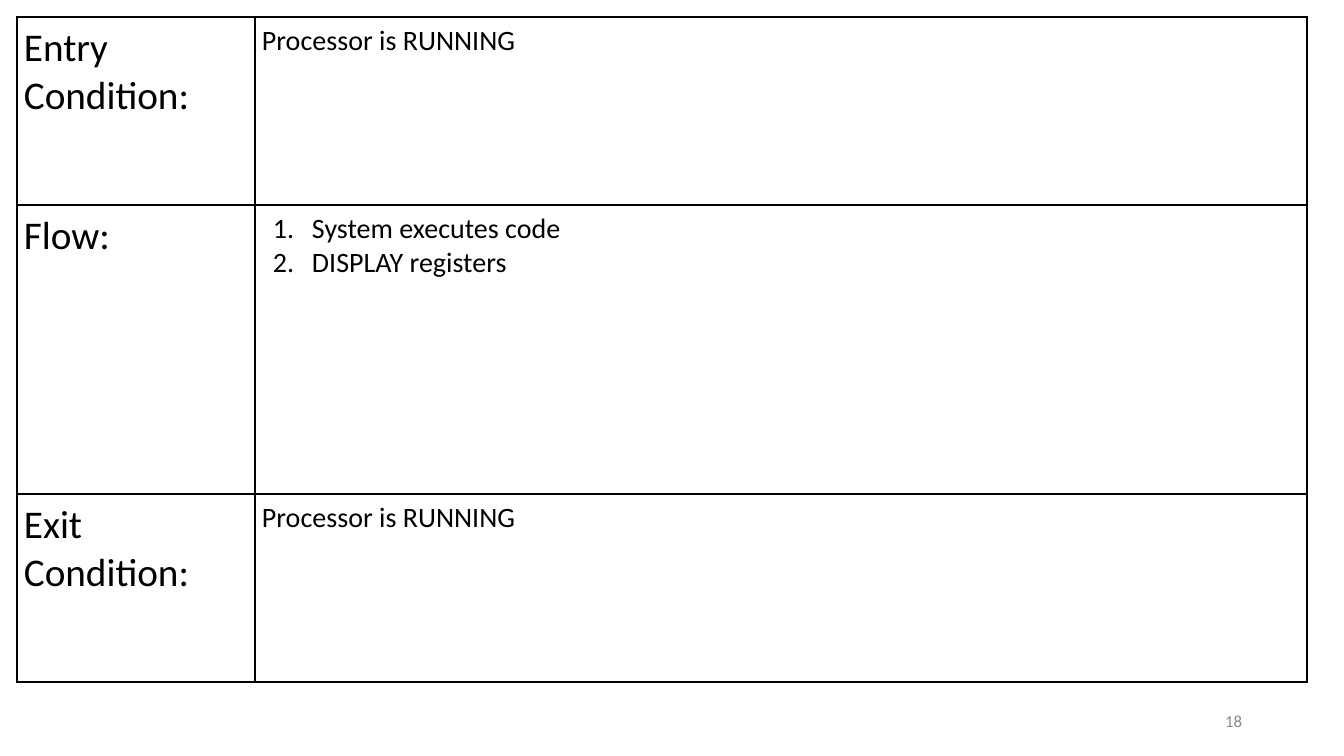
"""Build the use case slide: entry condition, flow and exit condition."""
from lxml import etree
from pptx import Presentation
from pptx.dml.color import RGBColor
from pptx.enum.text import MSO_ANCHOR, PP_ALIGN
from pptx.oxml.ns import qn
from pptx.util import Pt

ROWS = [
    ("Entry Condition:", ["Processor is RUNNING"]),
    ("Flow:", ["System executes code", "DISPLAY registers"]),
    ("Exit Condition:", ["Processor is RUNNING"]),
]
PAGE_NUMBER = "18"

SLIDE_SIZE = (1344, 756)
TABLE_LEFT, TABLE_TOP = 17, 17
COL_WIDTHS = [238, 1052]
ROW_HEIGHTS = [188, 289, 188]
CELL_MARGIN = 7
LIST_MARGIN, LIST_INDENT = 50, -39
PAGE_BOX = (950, 701, 302, 40)

FONT = "Calibri"
LABEL_SIZE, TEXT_SIZE, PAGE_SIZE, BORDER_WIDTH = 28, 20, 12, 1
BLACK = RGBColor(0x00, 0x00, 0x00)
GRAY = RGBColor(0x88, 0x88, 0x88)
JUSTIFY, RIGHT = PP_ALIGN.JUSTIFY, PP_ALIGN.RIGHT
TOP, MIDDLE = MSO_ANCHOR.TOP, MSO_ANCHOR.MIDDLE


def px(n):
    return round(n * 914400 / 100.8)


def write(tf, lines, size, color, align):
    tf.text = "\n".join(lines)
    for p in tf.paragraphs:
        p.alignment = align
        for r in p.runs:
            r.font.name = FONT
            r.font.size = Pt(size)
            r.font.color.rgb = color


def number(p):
    pPr = p._p.get_or_add_pPr()
    pPr.set("marL", str(px(LIST_MARGIN)))
    pPr.set("indent", str(px(LIST_INDENT)))
    color = etree.SubElement(pPr, qn("a:buClr"))
    etree.SubElement(color, qn("a:srgbClr"), val=str(BLACK))
    etree.SubElement(pPr, qn("a:buFont"), typeface=FONT)
    etree.SubElement(pPr, qn("a:buAutoNum"), type="arabicPeriod")


def add_borders(cell):
    tcPr = cell._tc.get_or_add_tcPr()
    for i, side in enumerate(("lnL", "lnR", "lnT", "lnB")):
        ln = etree.Element(qn("a:" + side), w=str(Pt(BORDER_WIDTH)))
        fill = etree.SubElement(ln, qn("a:solidFill"))
        etree.SubElement(fill, qn("a:srgbClr"), val=str(BLACK))
        tcPr.insert(i, ln)


def fill_cell(cell, lines, size):
    cell.margin_left = cell.margin_right = px(CELL_MARGIN)
    cell.margin_top = cell.margin_bottom = px(CELL_MARGIN)
    cell.vertical_anchor = TOP
    cell.fill.background()
    add_borders(cell)
    write(cell.text_frame, lines, size, BLACK, JUSTIFY)
    if len(lines) > 1:
        for p in cell.text_frame.paragraphs:
            number(p)


def add_page_number(s):
    tf = s.shapes.add_textbox(*map(px, PAGE_BOX)).text_frame
    tf.word_wrap = True
    tf.vertical_anchor = MIDDLE
    write(tf, [PAGE_NUMBER], PAGE_SIZE, GRAY, RIGHT)


def add_use_case_table(s):
    table = s.shapes.add_table(
        len(ROWS), len(COL_WIDTHS), px(TABLE_LEFT), px(TABLE_TOP),
        px(sum(COL_WIDTHS)), px(sum(ROW_HEIGHTS))).table
    table.first_row = table.horz_banding = False
    for col, width in zip(table.columns, COL_WIDTHS):
        col.width = px(width)
    for row, height, (label, lines) in zip(table.rows, ROW_HEIGHTS, ROWS):
        row.height = px(height)
        fill_cell(row.cells[0], [label], LABEL_SIZE)
        fill_cell(row.cells[1], lines, TEXT_SIZE)


def main():
    prs = Presentation()
    prs.slide_width, prs.slide_height = map(px, SLIDE_SIZE)
    s = prs.slides.add_slide(prs.slide_layouts[6])
    add_page_number(s)
    add_use_case_table(s)
    prs.save("out.pptx")


if __name__ == "__main__":
    main()
